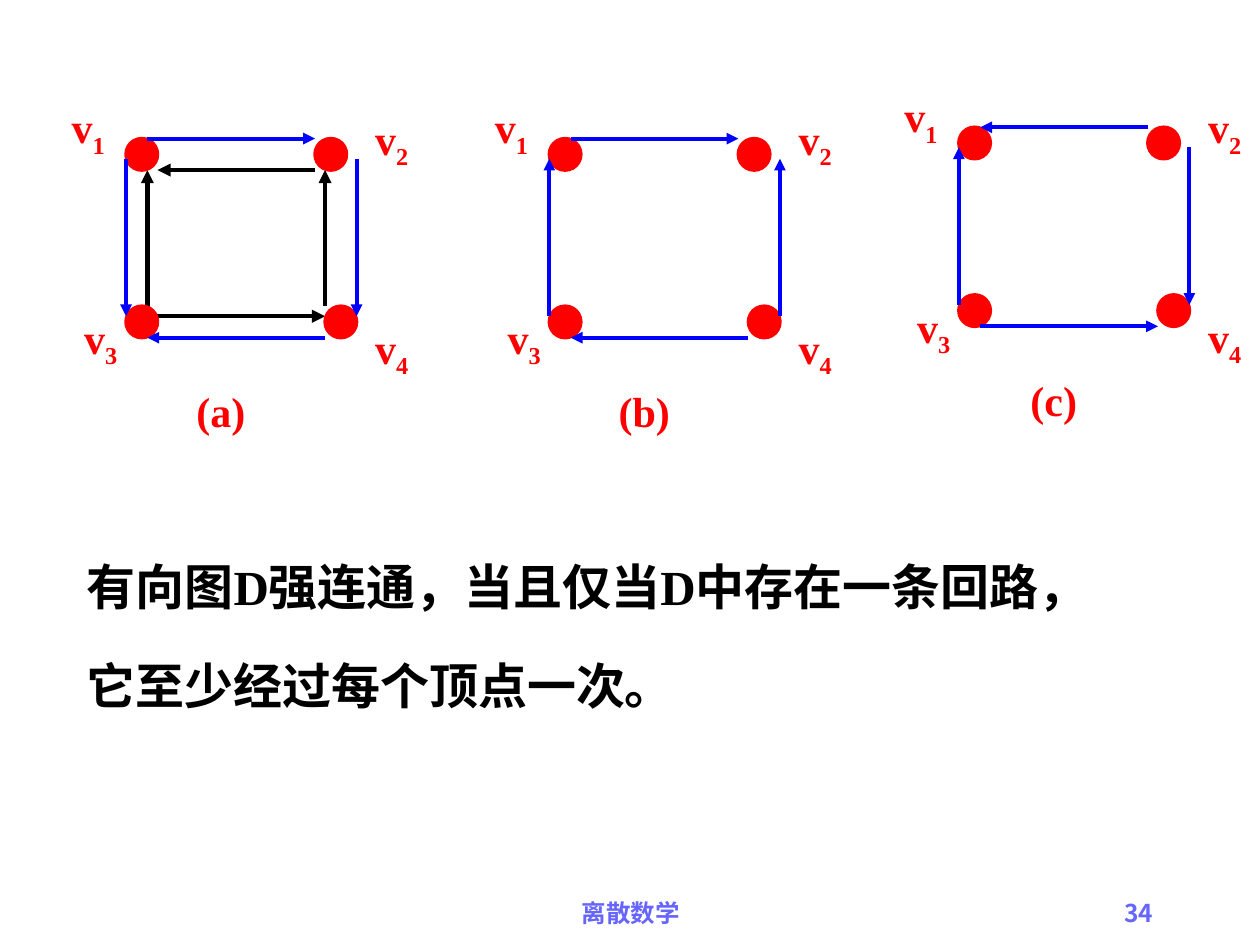
from dataclasses import dataclass

from lxml import etree
from pptx import Presentation
from pptx.dml.color import RGBColor
from pptx.enum import shapes, text
from pptx.oxml import ns
from pptx.util import Inches, Pt


@dataclass(frozen=True)
class Theme:
    black: str = "000000"
    red: str = "FF0000"
    blue: str = "0000FF"
    violet: str = "6666FF"
    latin: str = "Times New Roman"
    chinese: str = "Noto Sans CJK SC"
    body: float = 28
    label: float = 24
    footer: float = 14


THEME = Theme()

# Offsets in inches from the top-left corner of a graph's first vertex.
VERTICES = [(0, 0), (1.5, 0), (0, 1.33), (1.58, 1.33)]
LABELS = [(-0.58, -0.34), (1.83, -0.25), (-0.48, 1.33), (1.83, 1.41)]
SIDES = {
    "left": ((0, 0.16), (0, 1.41)),
    "right": ((1.83, 0.16), (1.83, 1.41)),
    "bottom": ((0.17, 1.58), (1.58, 1.58)),
    "top": ((0.17, 0), (1.5, 0)),
}
INNER_ARROWS = [
    ((1.5, 0.25), (0.25, 0.25)),
    ((0.17, 1.41), (0.17, 0.25)),
    ((0.17, 1.41), (1.58, 1.41)),
    ((1.58, 1.33), (1.58, 0.25)),
]

# Caption, first vertex, sides pointing right or down, inner arrows.
GRAPHS = [
    ("(a) ", (1, 1.1), {"left", "right", "top"}, INNER_ARROWS),
    ("(b) ", (4.36, 1.1), {"top"}, []),
    ("(c) ", (7.61, 1.01), {"right", "bottom"}, []),
]


def shifted(origin, offset):
    return origin[0] + offset[0], origin[1] + offset[1]


def style(para, size, color, align, latin=THEME.latin):
    para.alignment = align
    font = para.font
    font.size, font.bold, font.name = Pt(size), True, latin
    font.color.rgb = RGBColor.from_string(color)
    defaults = para._p.pPr.find(ns.qn("a:defRPr"))
    etree.SubElement(defaults, ns.qn("a:ea"), typeface=THEME.chinese)


def add_text(parent, place, size, words):
    box = parent.add_textbox(*map(Inches, (*place, *size)))
    box.text_frame.word_wrap = True
    box.text_frame.text = words
    return box.text_frame


def add_line_of_text(parent, place, size, words, points, color,
                     align=text.PP_ALIGN.CENTER, latin=THEME.latin):
    para = add_text(parent, place, size, words).paragraphs[0]
    style(para, points, color, align, latin)
    return para


def add_vertex_label(parent, place, number):
    para = add_line_of_text(parent, place, (0.56, 0.56), "v",
                            THEME.label, THEME.red)
    span = para.add_run()
    span.text = str(number)
    span._r.get_or_add_rPr().set("baseline", "-25000")


def add_vertex(parent, place):
    dot = parent.add_shape(shapes.MSO_SHAPE.OVAL,
                           *map(Inches, (*place, 0.25, 0.25)))
    dot.shadow.inherit = False
    red = RGBColor.from_string(THEME.red)
    dot.fill.solid()
    dot.fill.fore_color.rgb = red
    dot.line.color.rgb = red
    dot.line.width = Pt(2)


def add_arrow(parent, start, end, color, width):
    arrow = parent.add_connector(shapes.MSO_CONNECTOR.STRAIGHT,
                                 *map(Inches, (*start, *end)))
    arrow.line.color.rgb = RGBColor.from_string(color)
    arrow.line.width = Pt(width)
    etree.SubElement(arrow.line._get_or_add_ln(), ns.qn("a:tailEnd"),
                     type="triangle")
    etree.SubElement(arrow._element.spPr, ns.qn("a:effectLst"))


def add_graph(page, caption, origin, forward, inner_arrows):
    group = page.shapes.add_group_shape().shapes
    for start, end in inner_arrows:
        add_arrow(group, shifted(origin, start), shifted(origin, end),
                  THEME.black, 2.5)
    for vertex in VERTICES:
        add_vertex(group, shifted(origin, vertex))
    for number, label in enumerate(LABELS, start=1):
        add_vertex_label(group, shifted(origin, label), number)
    for side, ends in SIDES.items():
        start, end = ends if side in forward else reversed(ends)
        add_arrow(group, shifted(origin, start), shifted(origin, end),
                  THEME.blue, 2.25)
    add_line_of_text(group, shifted(origin, (-0.08, 1.91)), (1.75, 0.5),
                     caption, THEME.label, THEME.red)


def add_theorem(page):
    frame = add_text(page.shapes, (0.59, 4.3), (8.51, 1.42),
                     "有向图D强连通，当且仅当D中存在一条回路，\n"
                     "它至少经过每个顶点一次。")
    for para in frame.paragraphs:
        style(para, THEME.body, THEME.black, text.PP_ALIGN.LEFT)
        para.line_spacing = 1.15
        para._p.pPr.set("marL", str(Inches(0.63)))
        para._p.pPr.set("indent", str(Inches(-0.63)))
    frame.paragraphs[1].space_before = Pt(17.5)


def add_footer(page):
    add_line_of_text(page.shapes, (3.42, 7.08), (3.17, 0.5), "离散数学",
                     THEME.footer, THEME.violet)
    add_line_of_text(page.shapes, (7.17, 7.08), (2.08, 0.5), "34",
                     THEME.footer, THEME.violet, text.PP_ALIGN.RIGHT,
                     THEME.chinese)


def main():
    deck = Presentation()
    deck.slide_width, deck.slide_height = Inches(10), Inches(7.5)
    page = deck.slides.add_slide(deck.slide_layouts[6])
    add_theorem(page)
    for graph in GRAPHS:
        add_graph(page, *graph)
    add_footer(page)
    deck.save("out.pptx")


if __name__ == "__main__":
    main()
